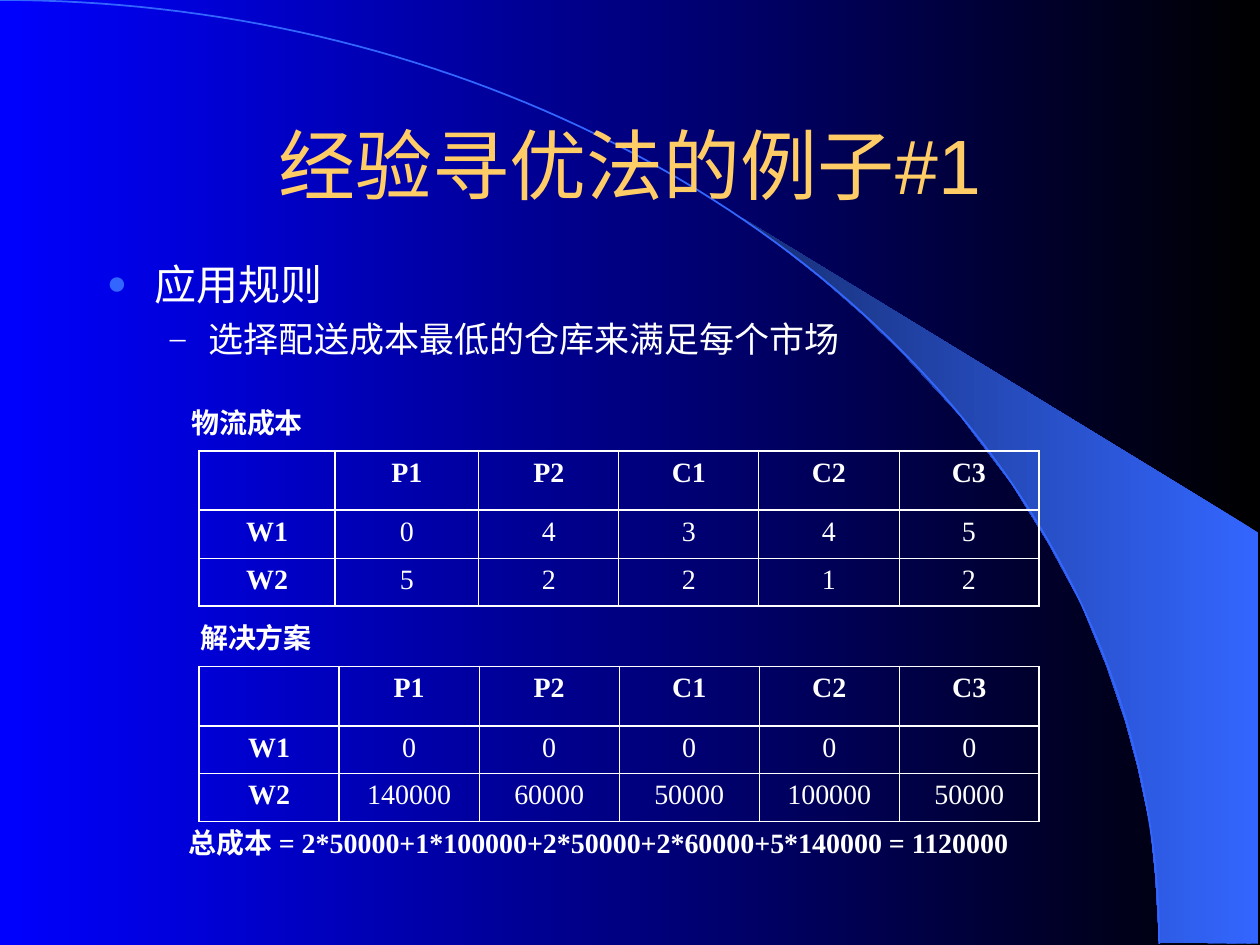
from math import cos, pi, sin
from lxml.etree import SubElement
from pptx import Presentation
from pptx.dml.color import RGBColor
from pptx.enum.text import MSO_ANCHOR as ANCHOR, MSO_AUTO_SIZE as AUTO, PP_ALIGN as ALIGN
from pptx.oxml.ns import qn
from pptx.util import Inches, Pt

BLUE, WHITE, GOLD = "3366FF", "FFFFFF", "FFCC66"
SERIF = "Times New Roman"
TITLE = "经验寻优法的例子#1"
BULLETS = [
    ("应用规则", 24, 0.38, 0.38, 0, "●", BLUE, 80),
    ("选择配送成本最低的仓库来满足每个市场", 20, 0.81, 0.31, 5, "–", WHITE, 90),
]
LABELS = [
    ("物流成本", 1.42, 3.17, 1.2),
    ("解决方案", 1.49, 4.88, 1.2),
    ("总成本 = 2*50000+1*100000+2*50000+2*60000+5*140000 = 1120000", 1.4, 6.5, 6.9),
]
HEADER = ["", "P1", "P2", "C1", "C2", "C3"]
COL = 6.67 / len(HEADER)
TABLES = [
    (3.58, [1.08, 1.14] + [COL] * 4,
     [HEADER, ["W1", "0", "4", "3", "4", "5"], ["W2", "5", "2", "2", "1", "2"]]),
    (5.29, [COL] * 6,
     [HEADER, ["W1", "0", "0", "0", "0", "0"],
      ["W2", "140000", "60000", "50000", "100000", "50000"]]),
]
ROW_HEIGHTS = [0.47, 0.38, 0.38]
THICK, THIN = 1.08, 0.45
BEAM = [
    (9.2, 7.48), (9.99, 7.49), (9.99, 4.23), (5.89, 1.73), (6.24, 1.99),
    (6.53, 2.22), (6.85, 2.5), (7.16, 2.8), (7.62, 3.3), (8.03, 3.84),
    (8.32, 4.31), (8.58, 4.79), (8.78, 5.28), (8.93, 5.72), (9.03, 6.09),
    (9.13, 6.56), (9.17, 6.96),
]
ARC_W, ARC_H, ARC_STEPS = 9.2, 7.49, 90


def rgb(value):
    return RGBColor.from_string(value)


def gradient(fill, start, end):
    fill.gradient()
    fill.gradient_angle = 180
    for stop, color, position in zip(fill.gradient_stops, (start, end), (0, 1)):
        stop.color.rgb = rgb(color)
        stop.position = position


def add_outline(s, points, close):
    start, *rest = [(Inches(x), Inches(y)) for x, y in points]
    builder = s.shapes.build_freeform(*start)
    builder.add_line_segments(rest, close=close)
    sp = builder.convert_to_shape()
    sp.shadow.inherit = False
    return sp


def add_run(p, text, size, color=WHITE, font=SERIF, bold=False):
    r = p.add_run()
    r.text = text
    r.font.size, r.font.name, r.font.bold = Pt(size), font, bold
    r.font.color.rgb = rgb(color)


def add_box(s, x, y, w, h, wrap=True):
    tf = s.shapes.add_textbox(Inches(x), Inches(y), Inches(w), Inches(h)).text_frame
    tf.word_wrap = wrap
    return tf


def set_bullet(p, char, color, percent, left, hang):
    pPr = p._p.get_or_add_pPr()
    pPr.set("marL", str(Inches(left)))
    pPr.set("indent", str(-Inches(hang)))
    SubElement(SubElement(pPr, qn("a:buClr")), qn("a:srgbClr"), val=color)
    SubElement(pPr, qn("a:buSzPct"), val=str(percent * 1000))
    SubElement(pPr, qn("a:buFont"), typeface=SERIF)
    SubElement(pPr, qn("a:buChar"), char=char)


def set_borders(cell, widths):
    tcPr = cell._tc.get_or_add_tcPr()
    for side, width in zip("LRTB", widths):
        ln = SubElement(tcPr, qn(f"a:ln{side}"), w=str(Pt(width)))
        SubElement(SubElement(ln, qn("a:solidFill")), qn("a:srgbClr"), val=WHITE)


def add_grid(s, y, widths, rows):
    table = s.shapes.add_table(len(rows), len(widths), Inches(1.58), Inches(y),
                               Inches(sum(widths)), Inches(sum(ROW_HEIGHTS))).table
    table.first_row = table.horz_banding = False
    for column, width in zip(table.columns, widths):
        column.width = Inches(width)
    last_row, last_col = len(rows) - 1, len(widths) - 1
    for i, (row, height) in enumerate(zip(rows, ROW_HEIGHTS)):
        table.rows[i].height = Inches(height)
        for j, text in enumerate(row):
            cell = table.cell(i, j)
            thick = (j <= 1, j in (0, last_col), i <= 1, i in (0, last_row))
            set_borders(cell, [THICK if t else THIN for t in thick])
            cell.fill.background()
            p = cell.text_frame.paragraphs[0]
            p.alignment = ALIGN.CENTER
            if text:
                add_run(p, text, 16, bold=i == 0 or j == 0)


def main():
    prs = Presentation()
    prs.slide_width, prs.slide_height = Inches(10), Inches(7.5)
    s = prs.slides.add_slide(prs.slide_layouts[6])
    gradient(s.background.fill, "000000", "0000FF")

    beam = add_outline(s, BEAM, True)
    gradient(beam.fill, BLUE, "172F75")
    beam.line.fill.background()
    angles = [pi / 2 * k / ARC_STEPS for k in range(ARC_STEPS + 1)]
    arc = add_outline(s, [(ARC_W * sin(a), ARC_H * (1 - cos(a))) for a in angles], False)
    arc.fill.background()
    arc.line.color.rgb = rgb(BLUE)
    arc.line.width = Pt(1)

    tf = add_box(s, 0.75, 0.67, 8.5, 1.25)
    tf.vertical_anchor = ANCHOR.MIDDLE
    tf.paragraphs[0].alignment = ALIGN.CENTER
    add_run(tf.paragraphs[0], TITLE, 44, GOLD, "Arial")

    tf = add_box(s, 0.75, 2, 8.5, 4.5)
    for i, (text, size, left, hang, before, char, color, percent) in enumerate(BULLETS):
        p = tf.add_paragraph() if i else tf.paragraphs[0]
        p.level = i
        set_bullet(p, char, color, percent, left, hang)
        p.space_before = Pt(before)
        add_run(p, text, size)

    for y, widths, rows in TABLES:
        add_grid(s, y, widths, rows)
    for text, x, y, w in LABELS:
        tf = add_box(s, x, y, w, 0.37)
        tf.auto_size = AUTO.SHAPE_TO_FIT_TEXT
        add_run(tf.paragraphs[0], text, 16, bold=True)

    prs.save("out.pptx")


if __name__ == "__main__":
    main()
